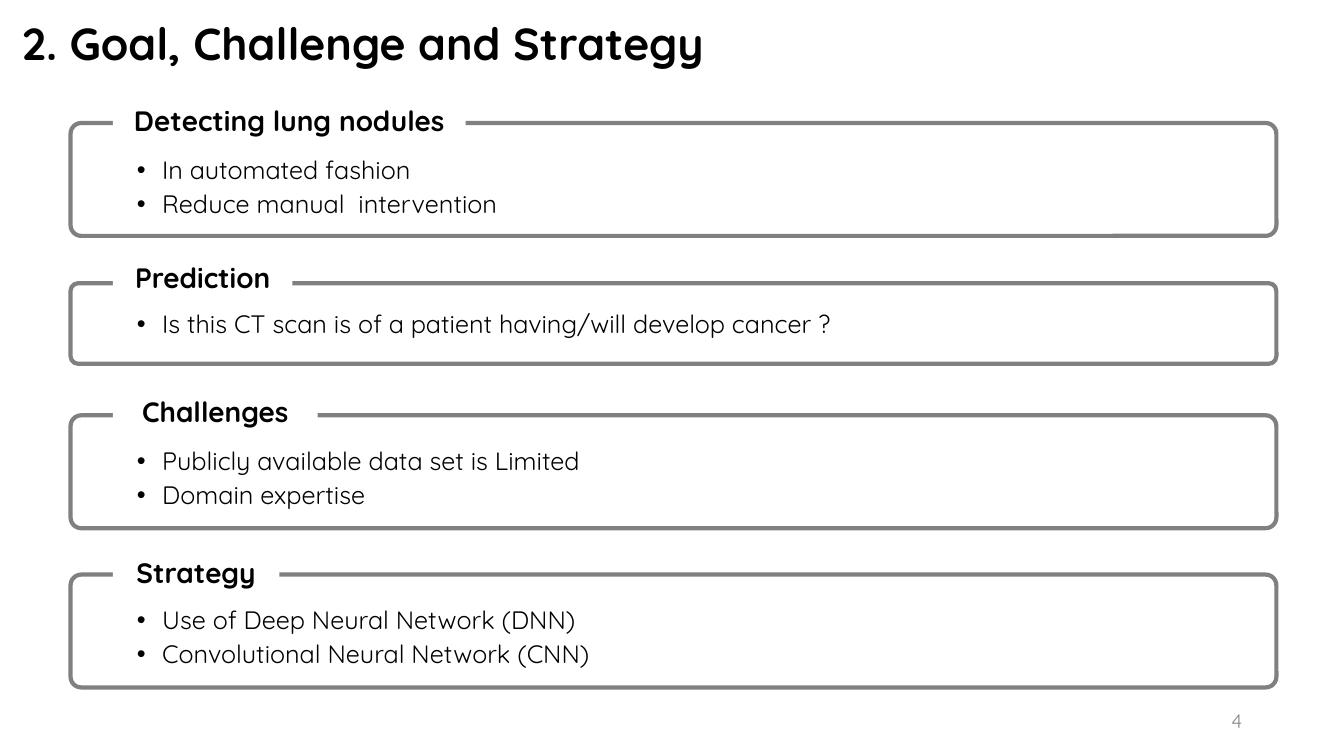
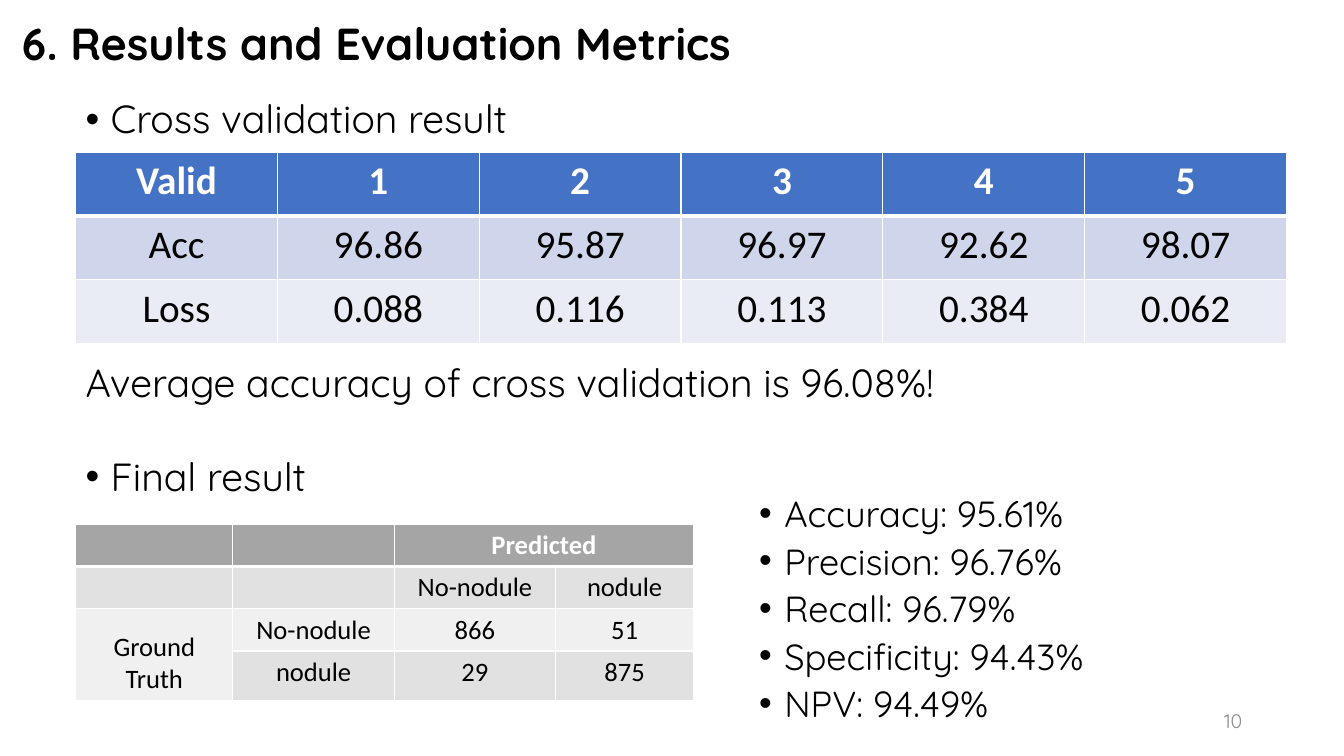
"""Build two slides on lung nodule detection: goals and results."""
from pptx import Presentation
from pptx.dml.color import RGBColor
from pptx.enum.shapes import MSO_SHAPE
from pptx.enum.text import MSO_ANCHOR, PP_ALIGN
from pptx.oxml import parse_xml
from pptx.oxml.ns import nsdecls
from pptx.util import Inches, Pt

LEFT, MID, RIGHT = PP_ALIGN.LEFT, PP_ALIGN.CENTER, PP_ALIGN.RIGHT
TOP, CENTER, BOTTOM = MSO_ANCHOR.TOP, MSO_ANCHOR.MIDDLE, MSO_ANCHOR.BOTTOM
ROUND = MSO_SHAPE.ROUNDED_RECTANGLE

HUES = {
    "ink": "000000", "paper": "FFFFFF", "frame": "808080", "page": "8C8C8C",
    "blue": "4472C4", "blue mid": "CFD5EA", "blue pale": "E9EBF5",
    "gray": "A5A5A5", "gray mid": "E1E1E1", "gray pale": "F0F0F0",
}
TINT = {name: RGBColor.from_string(code) for name, code in HUES.items()}

FONT = "Quicksand"
STYLES = {
    "title": {"size": Pt(32), "bold": True, "name": FONT},
    "label": {"size": Pt(20), "bold": True, "name": FONT},
    "item": {"size": Pt(18), "name": FONT},
    "text": {"size": Pt(28), "name": FONT},
    "score": {"size": Pt(25.9), "name": FONT},
    "page": {"size": Pt(14), "name": FONT},
    "big": {"size": Pt(28), "name": "Calibri"},
    "small": {"size": Pt(19), "name": "Calibri"},
}


def write(slide, box, lines, style, align=LEFT, anchor=TOP, indent=0,
          gap=0, space=0.9, hue="ink", fill=None):
    """Add a text box; an indent above zero gives its lines bullets."""
    shape = slide.shapes.add_textbox(*map(Inches, box))
    if fill:
        shape.fill.solid()
        shape.fill.fore_color.rgb = TINT[fill]
    frame = shape.text_frame
    frame.word_wrap = True
    frame.vertical_anchor = anchor
    for i, line in enumerate(lines):
        para = frame.paragraphs[0] if i == 0 else frame.add_paragraph()
        if indent:
            props = para._p.get_or_add_pPr()
            props.set("marL", str(Inches(indent)))
            props.set("indent", str(Inches(-0.25)))
            props.append(parse_xml(f'<a:buFont {nsdecls("a")} typeface="Arial"/>'))
            props.append(parse_xml(f'<a:buChar {nsdecls("a")} char="•"/>'))
        para.alignment = align
        para.line_spacing = space
        para.space_before = Pt(gap if i else 0)
        run = para.add_run()
        run.text = line
        for key, value in STYLES[style].items():
            setattr(run.font, key, value)
        run.font.color.rgb = TINT[hue]


def grid(slide, box, rows, style, fills):
    """Add a table with a bold head row and white cell borders."""
    table = slide.shapes.add_table(len(rows), len(rows[0]), *map(Inches, box)).table
    table.first_row = table.horz_banding = False
    for r, row in enumerate(rows):
        for c, text in enumerate(row):
            cell = table.cell(r, c)
            props = cell._tc.get_or_add_tcPr()
            for side in "LRTB":
                thick = (r, side) in ((0, "B"), (1, "T"))
                props.append(parse_xml(
                    f'<a:ln{side} {nsdecls("a")} w="{Pt(3 if thick else 1)}">'
                    f'<a:solidFill><a:srgbClr val="{HUES["paper"]}"/></a:solidFill>'
                    f'</a:ln{side}>'))
            cell.fill.solid()
            cell.fill.fore_color.rgb = TINT[fills[r]]
            if text:
                para = cell.text_frame.paragraphs[0]
                para.alignment = MID
                run = para.add_run()
                run.text = text
                for key, value in STYLES[style].items():
                    setattr(run.font, key, value)
                run.font.bold = r == 0
                run.font.color.rgb = TINT["ink" if r else "paper"]
    return table


deck = Presentation()
deck.slide_width, deck.slide_height = Inches(13.33), Inches(7.5)
slides = []
for title, page in (("2. Goal, Challenge and Strategy", "4"),
                    ("6. Results and Evaluation Metrics", "10")):
    slide = deck.slides.add_slide(deck.slide_layouts[6])
    write(slide, (0.12, 0.12, 13.03, 0.67), [title], "title", anchor=CENTER)
    write(slide, (9.42, 6.95, 3, 0.4), [page], "page", RIGHT, CENTER,
          space=1, hue="page")
    slides.append(slide)
goals, results = slides

PANELS = [
    (1.22, 1.12, 0.93, 3.5, 1.46, "Detecting lung nodules",
     ["In automated fashion", "Reduce manual  intervention"]),
    (2.81, 0.8, 2.49, 1.78, 2.96, "Prediction",
     ["Is this CT scan is of a patient having/will develop cancer ?"]),
    (4.12, 1.12, 3.82, 2.03, 4.35, "Challenges",
     ["Publicly available data set is Limited", "Domain expertise"]),
    (5.7, 1.12, 5.41, 1.65, 5.93, "Strategy",
     ["Use of Deep Neural Network (DNN)", "Convolutional Neural Network (CNN)"]),
]
for top, high, head, wide, body, label, items in PANELS:
    panel = goals.shapes.add_shape(
        ROUND, Inches(0.7), Inches(top), Inches(11.96), Inches(high))
    panel.adjustments[0] = 0.095
    panel.shadow.inherit = False
    panel.fill.background()
    panel.line.color.rgb = TINT["frame"]
    panel.line.width = Pt(3)
    write(goals, (1.12, head, wide, 0.57), [label], "label", MID, CENTER,
          fill="paper")
    write(goals, (0.76, body, 10.08, 0.25 + 0.28 * len(items)), items, "item",
          anchor=CENTER, indent=0.75, gap=5, fill="paper")

write(results, (0.75, 0.94, 5.6, 0.57), ["Cross validation result"], "text",
      indent=0.25)
grid(results, (0.75, 1.51, 12.01, 1.9), [
    ["Valid", "1", "2", "3", "4", "5"],
    ["Acc", "96.86", "95.87", "96.97", "92.62", "98.07"],
    ["Loss", "0.088", "0.116", "0.113", "0.384", "0.062"],
], "big", ["blue", "blue mid", "blue pale"])
write(results, (0.75, 3.56, 12.01, 0.57),
      ["Average accuracy of cross validation is 96.08%!"], "text")

write(results, (0.75, 4.49, 4, 0.57), ["Final result"], "text", indent=0.25)
matrix = grid(results, (0.75, 5.2, 6.12, 1.75), [
    ["", "", "Predicted", ""],
    ["", "", "No-nodule", "nodule"],
    ["Ground Truth", "No-nodule", "866", "51"],
    ["", "nodule", "29", "875"],
], "small", ["gray", "gray mid", "gray pale", "gray mid"])
for col, wide in zip(matrix.columns, (1.56, 1.6, 1.6, 1.37)):
    col.width = Inches(wide)
for row, high in zip(matrix.rows, (0.42, 0.42, 0.42, 0.49)):
    row.height = Inches(high)
matrix.cell(0, 2).merge(matrix.cell(0, 3))
matrix.cell(2, 0).merge(matrix.cell(3, 0))
matrix.cell(2, 0).vertical_anchor = BOTTOM

write(results, (7.43, 4.91, 5.72, 2.44), [
    "Accuracy: 95.61%", "Precision: 96.76%", "Recall: 96.79%",
    "Specificity: 94.43%", "NPV: 94.49%",
], "score", indent=0.25, gap=9, space=0.8)

deck.save("out.pptx")
